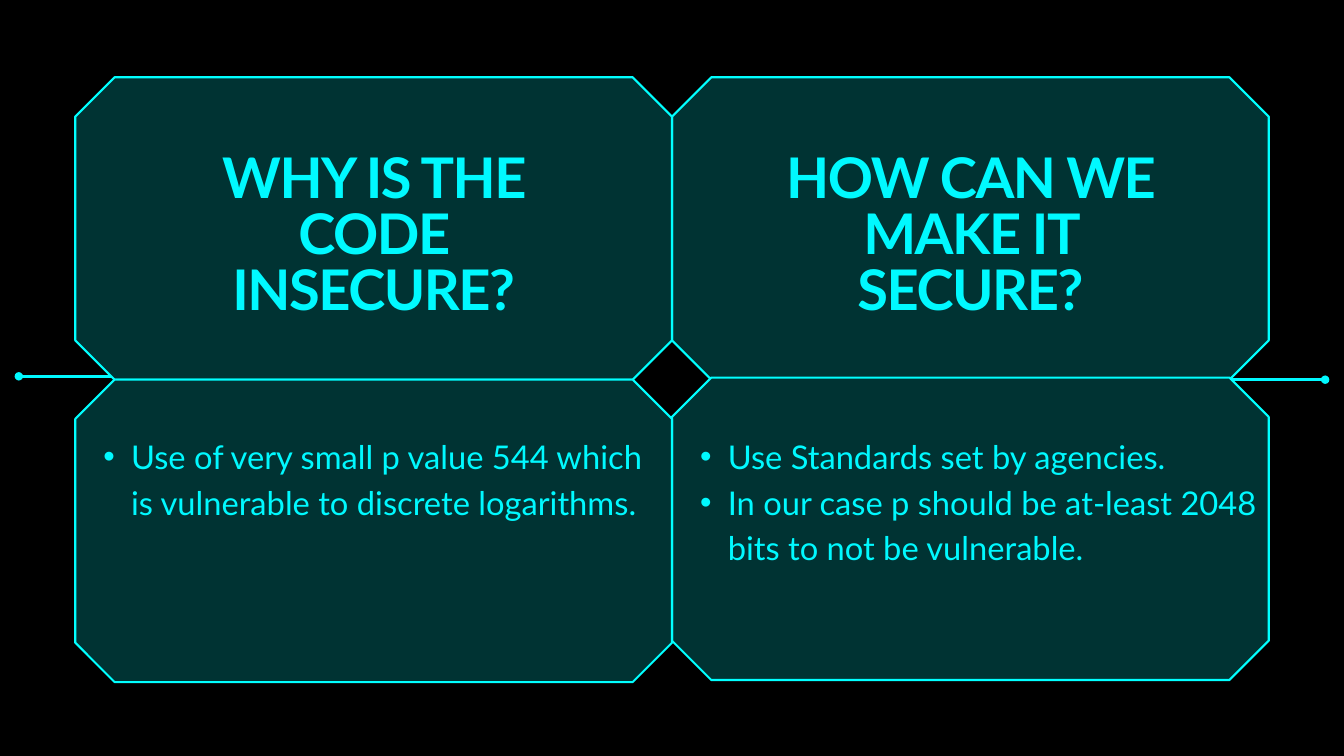
import pptx
import pptx.dml.color
import pptx.enum.shapes
import pptx.enum.text
import pptx.oxml.ns
import pptx.util
from lxml import etree

Inches = pptx.util.Inches
Pt = pptx.util.Pt

PANEL_WIDTH, PANEL_HEIGHT = 8.88, 4.5
CORNER_RATIO = 0.13
HEADING_WIDTH, HEADING_HEIGHT = 6.54, 2.54


def rgb(value):
    return pptx.dml.color.RGBColor.from_string(value)


def add_xml(parent, tag, **attributes):
    child = etree.SubElement(parent, pptx.oxml.ns.qn(tag))
    for name, value in attributes.items():
        child.set(name, value)


class NeonSlide:
    font = "Lato"
    background = "000000"
    panel_fill = "003333"
    panel_line = "01FFFF"
    accent = "00F9FF"

    def __init__(self, slide):
        self.slide = slide
        fill = slide.background.fill
        fill.solid()
        fill.fore_color.rgb = rgb(self.background)

    def dotted_line(self, dot_x, end_x, y):
        """Horizontal line with a round dot at its outer end."""
        line = self.slide.shapes.add_connector(
            pptx.enum.shapes.MSO_CONNECTOR.STRAIGHT,
            Inches(dot_x), Inches(y), Inches(end_x), Inches(y))
        line.line.width = Pt(3)
        line.line.color.rgb = rgb(self.accent)
        add_xml(line.line._get_or_add_ln(), "a:headEnd", type="oval")
        add_xml(line._element.spPr, "a:effectLst")

    def panel(self, left, top):
        panel = self.slide.shapes.add_shape(
            pptx.enum.shapes.MSO_SHAPE.OCTAGON, Inches(left), Inches(top),
            Inches(PANEL_WIDTH), Inches(PANEL_HEIGHT))
        panel.adjustments[0] = CORNER_RATIO
        panel.shadow.inherit = False
        panel.fill.solid()
        panel.fill.fore_color.rgb = rgb(self.panel_fill)
        panel.line.color.rgb = rgb(self.panel_line)
        panel.line.width = Pt(2.25)

    def text(self, left, top, width, height, lines, size, spacing, bold=False):
        """Add a text box and return its paragraphs."""
        box = self.slide.shapes.add_textbox(
            Inches(left), Inches(top), Inches(width), Inches(height))
        frame = box.text_frame
        frame.word_wrap = True
        frame.auto_size = pptx.enum.text.MSO_AUTO_SIZE.SHAPE_TO_FIT_TEXT
        frame.margin_left = frame.margin_right = 0
        frame.margin_top = frame.margin_bottom = 0
        frame.text = "\n".join(lines)
        for paragraph in frame.paragraphs:
            paragraph.line_spacing = Pt(spacing)
            for run in paragraph.runs:
                run.font.name = self.font
                run.font.size = Pt(size)
                run.font.bold = bold
                run.font.color.rgb = rgb(self.accent)
        return frame.paragraphs

    def heading(self, panel_left, top, wording):
        left = panel_left + (PANEL_WIDTH - HEADING_WIDTH) / 2
        for paragraph in self.text(left, top, HEADING_WIDTH, HEADING_HEIGHT,
                                   [wording], 60, 60, bold=True):
            paragraph.alignment = pptx.enum.text.PP_ALIGN.CENTER
            for run in paragraph.runs:
                run.font._element.set("spc", "-160")

    def bullets(self, left, top, height, points):
        for paragraph in self.text(left, top, PANEL_WIDTH, height, points, 35, 49):
            paragraph.level = 1
            properties = paragraph._p.get_or_add_pPr()
            properties.set("marL", str(Inches(0.83)))
            properties.set("indent", str(Inches(-0.41)))
            add_xml(properties, "a:buFont", typeface="Arial")
            add_xml(properties, "a:buChar", char="•")


def main():
    presentation = pptx.Presentation()
    presentation.slide_width = Inches(20)
    presentation.slide_height = Inches(11.25)
    blank_layout = presentation.slide_layouts[6]
    neon = NeonSlide(presentation.slides.add_slide(blank_layout))

    neon.dotted_line(0.28, 1.79, 5.6)
    neon.dotted_line(19.72, 18.03, 5.65)

    # Left edge, top of the lower panel, heading, bullet box height, points
    columns = [
        (10, 5.62, "HOW CAN WE MAKE IT SECURE?", 2.01,
         ["Use Standards set by agencies.",
          "In our case p should be at-least 2048 bits to not be vulnerable."]),
        (1.12, 5.65, "WHY IS THE CODE INSECURE?", 2.68,
         ["Use of very small p value 544 which is vulnerable to discrete logarithms."]),
    ]
    for left, lower_top, question, points_height, points in columns:
        neon.panel(left, 1.15)
        neon.panel(left, lower_top)
        neon.heading(left, 2.28, question)
        neon.bullets(left, 6.4, points_height, points)

    presentation.save("out.pptx")


if __name__ == "__main__":
    main()
